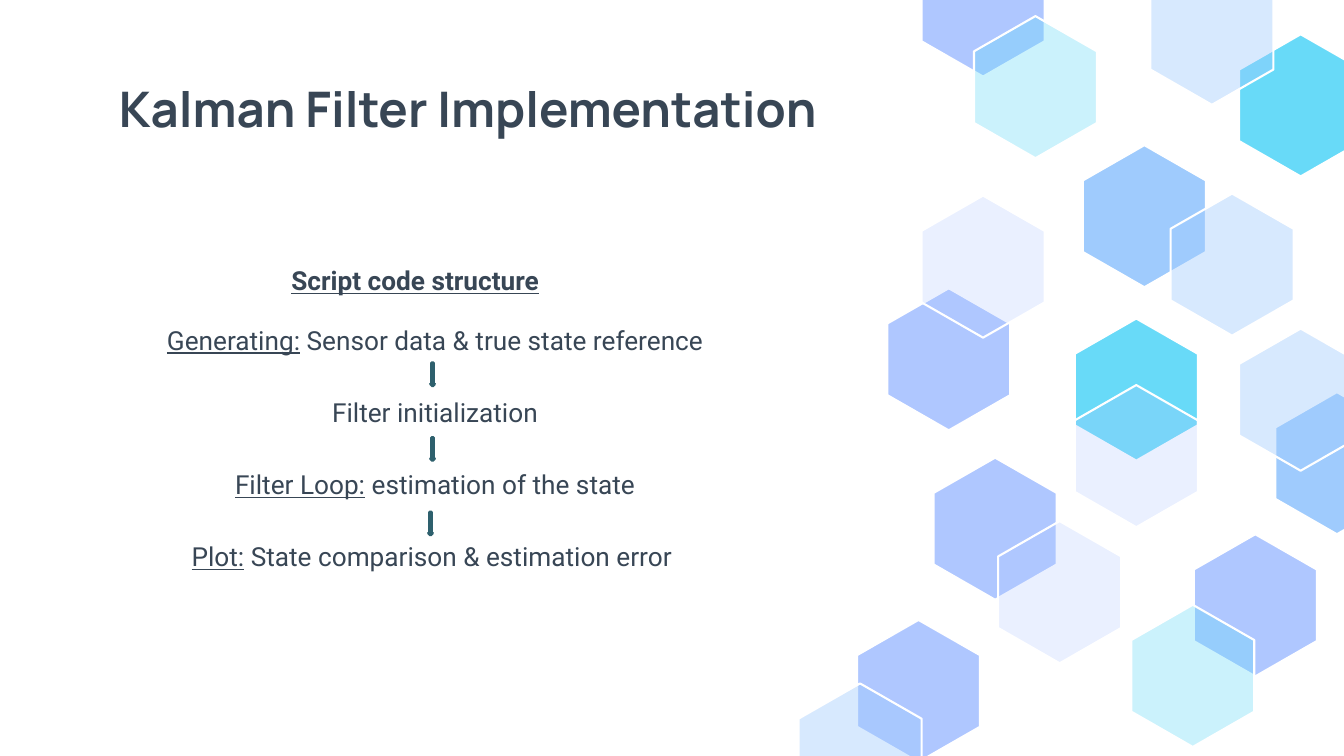
"""Build the Kalman filter implementation slide."""
import pptx
import pptx.dml.color
import pptx.enum.shapes
import pptx.enum.text
import pptx.oxml
import pptx.oxml.ns
import pptx.util

Inches = pptx.util.Inches
Pt = pptx.util.Pt
ALIGN = pptx.enum.text.PP_ALIGN
ANCHOR = pptx.enum.text.MSO_ANCHOR

COLORS = {"text": "384655", "white": "FFFFFF", "sky": "9FCBFD",
          "periwinkle": "AFC7FF", "cyan": "68DAF8", "teal": "2E606D"}

TITLE = "Kalman Filter Implementation"
HEADING = "Script code structure"
STEPS = [
    ("Generating:", " Sensor data & true state reference"),
    ("", "Filter initialization"),
    ("Filter Loop:", " estimation of the state"),
    ("Plot:", " State comparison & estimation error "),
]
TITLE_BOX = (1.05, 0.65, 8.09, 0.84)
STEPS_BOX = (1.14, 3.04, 6.35, 3.11)
HEADING_BOX = (2.76, 2.45, 5.5, 0.49)

HEXAGON_WIDTH, HEXAGON_HEIGHT, SHOULDER = 1.22, 1.41, 0.35
HEXAGONS = [
    (10.74, 1.44, "sky", 100),
    (8.8, 2.86, "periwinkle", 100),
    (10.66, 3.16, "cyan", 100),
    (9.14, -0.65, "periwinkle", 100),
    (8.5, 6.15, "periwinkle", 100),
    (9.14, 1.94, "periwinkle", 25),
    (12.29, 0.34, "cyan", 100),
    (10.66, 3.82, "periwinkle", 25),
    (11.61, 1.92, "sky", 41),
    (9.26, 4.54, "periwinkle", 100),
    (9.9, 5.17, "periwinkle", 25),
    (7.92, 6.78, "sky", 41),
    (12.65, 3.89, "sky", 100),
    (12.29, 3.26, "sky", 41),
    (11.84, 5.3, "periwinkle", 100),
    (11.22, 6, "cyan", 34),
    (9.66, 0.16, "cyan", 34),
    (11.41, -0.37, "sky", 41),
]
ARROW_LEFTS = [4.27, 4.27, 4.25]
ARROW_TOP, ARROW_STEP = 3.6, 0.74
ARROW_WIDTH, ARROW_HEIGHT = 0.04, 0.23

TITLE_FONT = {"name": "Manrope", "size": Pt(35), "bold": True}
HEADING_FONT = {"name": "Roboto", "size": Pt(18.7), "bold": True, "underline": True}
LABEL_FONT = {"name": "Roboto", "size": Pt(18.7), "underline": True}
DETAIL_FONT = {"name": "Roboto", "size": Pt(18.7), "underline": False}


def rgb(name):
    return pptx.dml.color.RGBColor.from_string(COLORS[name])


def apply(target, values):
    for name, value in values.items():
        setattr(target, name, value)


def prepare_box(shape, box, anchor):
    apply(shape, dict(zip(("left", "top", "width", "height"), map(Inches, box))))
    margins = {f"margin_{side}": Inches(0.13) for side in ("left", "top", "right", "bottom")}
    apply(shape.text_frame, {**margins, "word_wrap": True, "vertical_anchor": anchor,
                             "auto_size": pptx.enum.text.MSO_AUTO_SIZE.NONE})


def add_run(paragraph, text, font):
    run = paragraph.add_run()
    run.text = text
    apply(run.font, font)
    run.font.color.rgb = rgb("text")


def paint(shape, fill, line, line_width, opacity=100):
    shape.shadow.inherit = False
    shape.fill.solid()
    shape.fill.fore_color.rgb = rgb(fill)
    shape.line.color.rgb = rgb(line)
    shape.line.width = Pt(line_width)
    if opacity < 100:
        color = shape.fill._xPr.find(".//" + pptx.oxml.ns.qn("a:srgbClr"))
        alpha = pptx.oxml.parse_xml(
            f'<a:alpha {pptx.oxml.ns.nsdecls("a")} val="{opacity * 1000}"/>')
        color.append(alpha)


def add_hexagon(shapes, left, top, fill, opacity):
    middle, right = left + HEXAGON_WIDTH / 2, left + HEXAGON_WIDTH
    upper, bottom = top + SHOULDER, top + HEXAGON_HEIGHT
    lower = bottom - SHOULDER
    corners = [(middle, top), (left, upper), (left, lower),
               (middle, bottom), (right, lower), (right, upper)]
    points = [(Inches(x), Inches(y)) for x, y in corners]
    builder = shapes.build_freeform(*points[0], scale=1.0)
    builder.add_line_segments(points[1:], close=True)
    paint(builder.convert_to_shape(), fill, "white", 1.5, opacity)


def main():
    presentation = pptx.Presentation()
    presentation.slide_width, presentation.slide_height = Inches(13.33), Inches(7.5)
    slide = presentation.slides.add_slide(presentation.slide_layouts[0])

    title, steps = slide.placeholders
    prepare_box(title, TITLE_BOX, ANCHOR.MIDDLE)
    paragraph = title.text_frame.paragraphs[0]
    paragraph.alignment = ALIGN.LEFT
    add_run(paragraph, TITLE, TITLE_FONT)

    prepare_box(steps, STEPS_BOX, ANCHOR.TOP)
    for index, (label, detail) in enumerate(STEPS):
        frame = steps.text_frame
        paragraph = frame.add_paragraph() if index else frame.paragraphs[0]
        apply(paragraph, {"alignment": ALIGN.CENTER, "line_spacing": 1.15,
                          "space_before": Pt(25.7 if index else 0)})
        if label:
            add_run(paragraph, label, LABEL_FONT)
        add_run(paragraph, detail, DETAIL_FONT)

    hexagons = slide.shapes.add_group_shape()
    for hexagon in HEXAGONS:
        add_hexagon(hexagons.shapes, *hexagon)

    arrows = slide.shapes.add_group_shape()
    for index, left in enumerate(ARROW_LEFTS):
        box = (left, ARROW_TOP + index * ARROW_STEP, ARROW_WIDTH, ARROW_HEIGHT)
        arrow = arrows.shapes.add_shape(
            pptx.enum.shapes.MSO_SHAPE.DOWN_ARROW, *map(Inches, box))
        paint(arrow, "cyan", "teal", 2)

    heading = slide.shapes.add_textbox(*map(Inches, HEADING_BOX))
    prepare_box(heading, HEADING_BOX, ANCHOR.TOP)
    paragraph = heading.text_frame.paragraphs[0]
    paragraph.line_spacing = 1.15
    add_run(paragraph, HEADING, HEADING_FONT)

    presentation.save("out.pptx")


if __name__ == "__main__":
    main()
